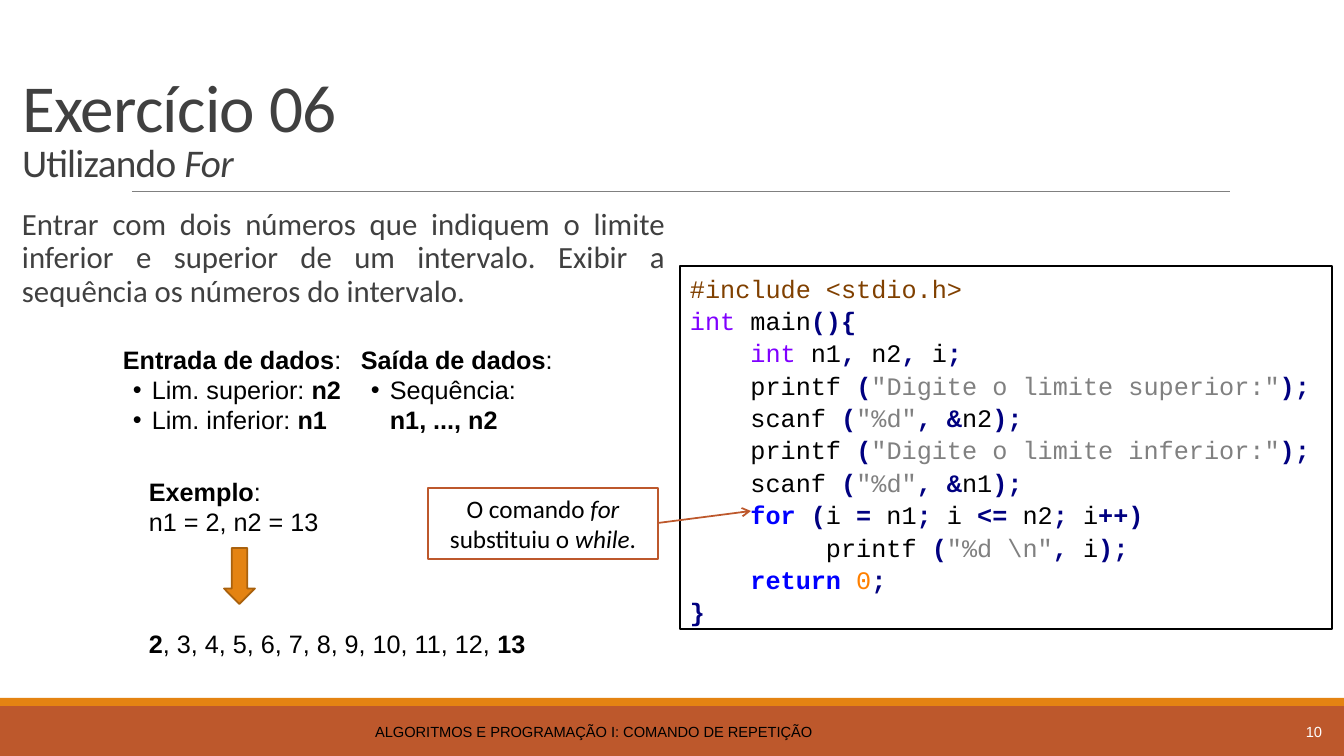
from lxml import etree
from pptx import Presentation
from pptx import util as u
from pptx.dml.color import RGBColor
from pptx.enum import shapes, text
from pptx.oxml.ns import qn

PX = 914400 / 100.8
BLACK, WHITE, GRAY, RUST, ORANGE = "000000", "FFFFFF", "404040", "BD582C", "E48312"

STYLES = {
    "plain": (None, False, False),
    "bold": (None, True, False),
    "italic": (None, False, True),
    "directive": ("804000", False, False),
    "type": ("8000FF", False, False),
    "op": ("000080", True, False),
    "string": ("808080", False, False),
    "keyword": ("0000FF", True, False),
    "number": ("FF8000", False, False),
}

TITLE = "Exercício 06"
SUBTITLE = [("Utilizando ", "plain"), ("For", "italic")]
STATEMENT = [[("Entrar com dois números que indiquem o limite inferior e superior "
               "de um intervalo. Exibir a sequência os números do intervalo.", "plain")]]
FOOTER = [[("ALGORITMOS E PROGRAMAÇÃO I: COMANDO DE REPETIÇÃO", "plain")]]
NUMBER = [[("10", "plain")]]
INPUTS = [
    [("Entrada de dados", "bold"), (":", "plain")],
    [("Lim. superior: ", "plain"), ("n2", "bold")],
    [("Lim. inferior: ", "plain"), ("n1", "bold")],
]
OUTPUTS = [
    [("Saída de dados", "bold"), (":", "plain")],
    [("Sequência: \n", "plain"), ("n1, ..., n2", "bold")],
]
EXAMPLE = [
    [("Exemplo", "bold"), (":", "plain")],
    [("n1 = 2, n2 = 13", "plain")],
    [("2", "bold"), (", 3, 4, 5, 6, 7, 8, 9, 10, 11, 12, ", "plain"), ("13", "bold")],
]
CALLOUT = [[("O comando ", "plain"), ("for", "italic"), (" substituiu o ", "plain"),
            ("while", "italic"), (".", "plain")]]


def prompt(limit):
    return [("    printf ", "plain"), ("(", "op"),
            (f'"Digite o limite {limit}:"', "string"), (");", "op")]


def read(variable):
    return [("    scanf ", "plain"), ("(", "op"), ('"%d"', "string"), (", &", "op"),
            (variable, "plain"), (");", "op")]


CODE = [
    [("#include <stdio.h>", "directive")],
    [("int ", "type"), ("main", "plain"), ("(){", "op")],
    [("    ", "plain"), ("int", "type"), (" n1", "plain"), (",", "op"),
     (" n2", "plain"), (",", "op"), (" i", "plain"), (";", "op")],
    prompt("superior"),
    read("n2"),
    prompt("inferior"),
    read("n1"),
    [("    ", "plain"), ("for ", "keyword"), ("(", "op"), ("i ", "plain"), ("=", "op"),
     (" n1", "plain"), (";", "op"), (" i ", "plain"), ("<=", "op"), (" n2", "plain"),
     (";", "op"), (" i", "plain"), ("++)", "op")],
    [("         printf ", "plain"), ("(", "op"), ('"%d \\n"', "string"), (",", "op"),
     (" i", "plain"), (");", "op")],
    [("    ", "plain"), ("return ", "keyword"), ("0", "number"), (";", "op")],
    [("}", "op")],
]


def px(n):
    return u.Emu(round(n * PX))


def rgb(value):
    return RGBColor.from_string(value)


def add_run(p, content, style, font, size, color):
    tint, bold, italic = STYLES[style]
    r = p.add_run()
    r.text = content.rstrip("\n")
    r.font.name, r.font.size = font, u.Pt(size)
    r.font.bold, r.font.italic = bold, italic
    r.font.color.rgb = rgb(tint or color)
    if content.endswith("\n"):
        p.add_line_break()
    return r


def write(sp, paragraphs, font, size, color=BLACK, align="LEFT", anchor="TOP",
          spacing=None, wrap=True):
    tf = sp.text_frame
    tf.word_wrap = wrap
    tf.vertical_anchor = getattr(text.MSO_ANCHOR, anchor)
    for i, runs in enumerate(paragraphs):
        p = tf.add_paragraph() if i else tf.paragraphs[0]
        p.alignment = getattr(text.PP_ALIGN, align)
        p.line_spacing = spacing
        for content, style in runs:
            add_run(p, content, style, font, size, color)
    return tf


def add_bullets(paragraphs):
    for p in paragraphs:
        pPr = p._p.get_or_add_pPr()
        pPr.set("marL", str(px(29)))
        pPr.set("indent", str(px(-19)))
        etree.SubElement(pPr, qn("a:buFont")).set("typeface", "Arial")
        etree.SubElement(pPr, qn("a:buChar")).set("char", "•")


def add_box(s, x, y, w, h):
    return s.shapes.add_textbox(px(x), px(y), px(w), px(h))


def add_shape(s, kind, x, y, w, h, fill, line=None):
    sp = s.shapes.add_shape(getattr(shapes.MSO_SHAPE, kind), px(x), px(y), px(w), px(h))
    sp.shadow.inherit = False
    sp.fill.solid()
    sp.fill.fore_color.rgb = rgb(fill)
    if line:
        sp.line.color.rgb = rgb(line)
        sp.line.width = u.Pt(1.25)
    else:
        sp.line.fill.background()
    return sp


def add_line(s, x1, y1, x2, y2, color, width):
    line = s.shapes.add_connector(shapes.MSO_CONNECTOR.STRAIGHT, px(x1), px(y1), px(x2), px(y2))
    line.line.color.rgb = rgb(color)
    line.line.width = u.Pt(width)
    etree.SubElement(line._element.spPr, qn("a:effectLst"))
    return line


def add_title(s):
    sp = s.shapes.title
    sp.left, sp.top, sp.width, sp.height = px(12), px(31), px(1321), px(160)
    tf = write(sp, [], "Calibri", 48, anchor="BOTTOM")
    p = tf.paragraphs[0]
    p.alignment = text.PP_ALIGN.LEFT
    p.line_spacing = 0.85
    add_run(p, TITLE + "\n", "plain", "Calibri", 48, GRAY)
    for content, style in SUBTITLE:
        add_run(p, content, style, "Calibri", 28, GRAY)
    for r in p.runs:
        r.font._element.set("spc", "-50")


def main():
    prs = Presentation()
    prs.slide_width, prs.slide_height = px(1344), px(756)
    s = prs.slides.add_slide(prs.slide_layouts[5])

    add_shape(s, "RECTANGLE", 0, 706, 1344, 50, RUST)
    add_shape(s, "RECTANGLE", 0, 698, 1344, 8, ORANGE)
    add_line(s, 132, 191, 1230, 191, "808080", 0.5)
    add_title(s)

    tf = write(add_box(s, 12, 204, 653, 495), STATEMENT, "Calibri", 22, GRAY, "JUSTIFY", spacing=0.9)
    tf.margin_left = tf.margin_right = 0
    tf.paragraphs[0]._p.get_or_add_pPr().set("marL", str(px(10)))

    write(add_box(s, 12, 712, 1164, 40), FOOTER, "Arial", 10.5, BLACK, "CENTER", "MIDDLE")
    write(add_box(s, 1187, 712, 145, 40), NUMBER, "Arial", 10.5, WHITE, "RIGHT", "MIDDLE")

    code = add_shape(s, "RECTANGLE", 680, 266, 652, 363, WHITE, BLACK)
    write(code, CODE, "Courier New", 18, spacing=1.07)

    callout = add_shape(s, "RECTANGLE", 428, 488, 230, 71, WHITE, RUST)
    write(callout, CALLOUT, "Calibri", 18, align="CENTER")
    arrow = add_line(s, 658, 523, 751, 511, RUST, 1.25)
    etree.SubElement(arrow.line._get_or_add_ln(), qn("a:tailEnd")).set("type", "arrow")

    for x, w, paragraphs in ((113, 252, INPUTS), (351, 224, OUTPUTS)):
        tf = write(add_box(s, x, 339, w, 102), paragraphs, "Arial", 18)
        add_bullets(tf.paragraphs[1:])

    tf = write(add_box(s, 139, 471, 400, 194), EXAMPLE, "Arial", 18, wrap=False)
    tf.paragraphs[-1].space_before = u.Pt(66)
    add_shape(s, "DOWN_ARROW", 224, 548, 31, 56, ORANGE, "A9610D")

    prs.save("out.pptx")


if __name__ == "__main__":
    main()
